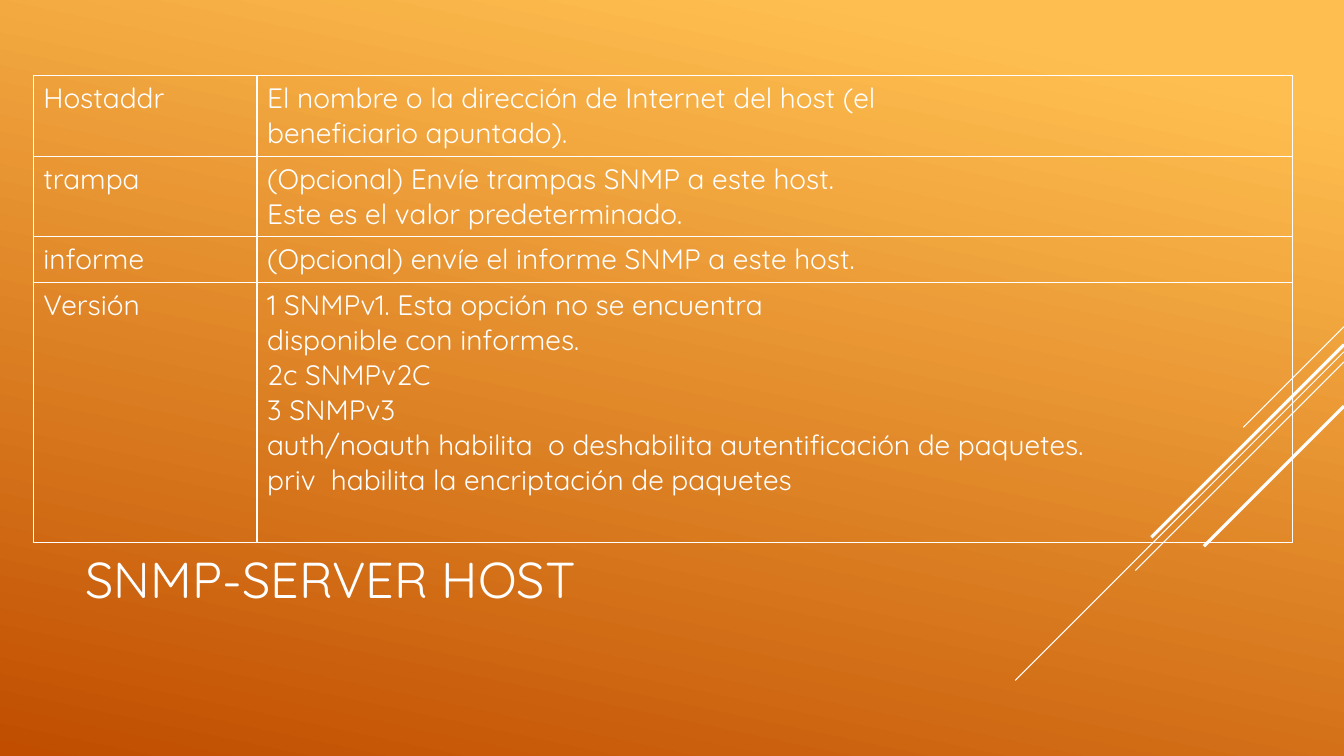
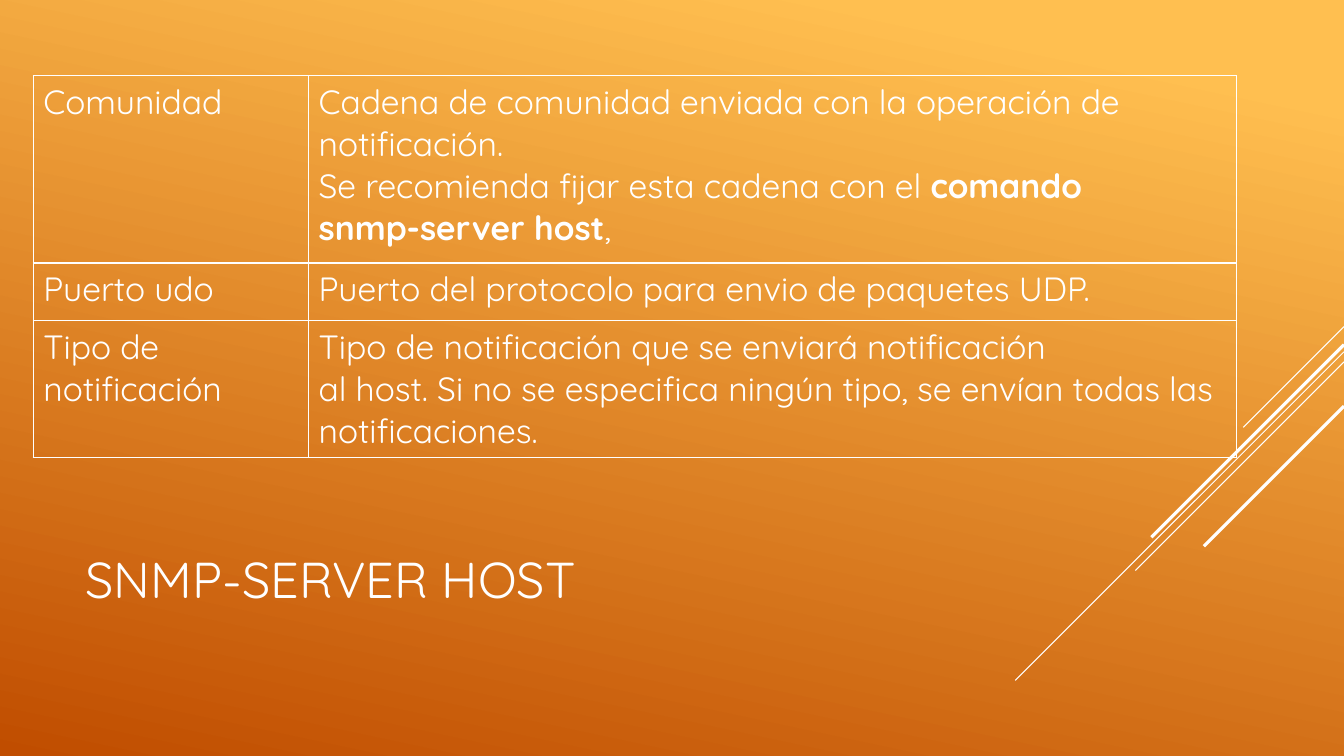
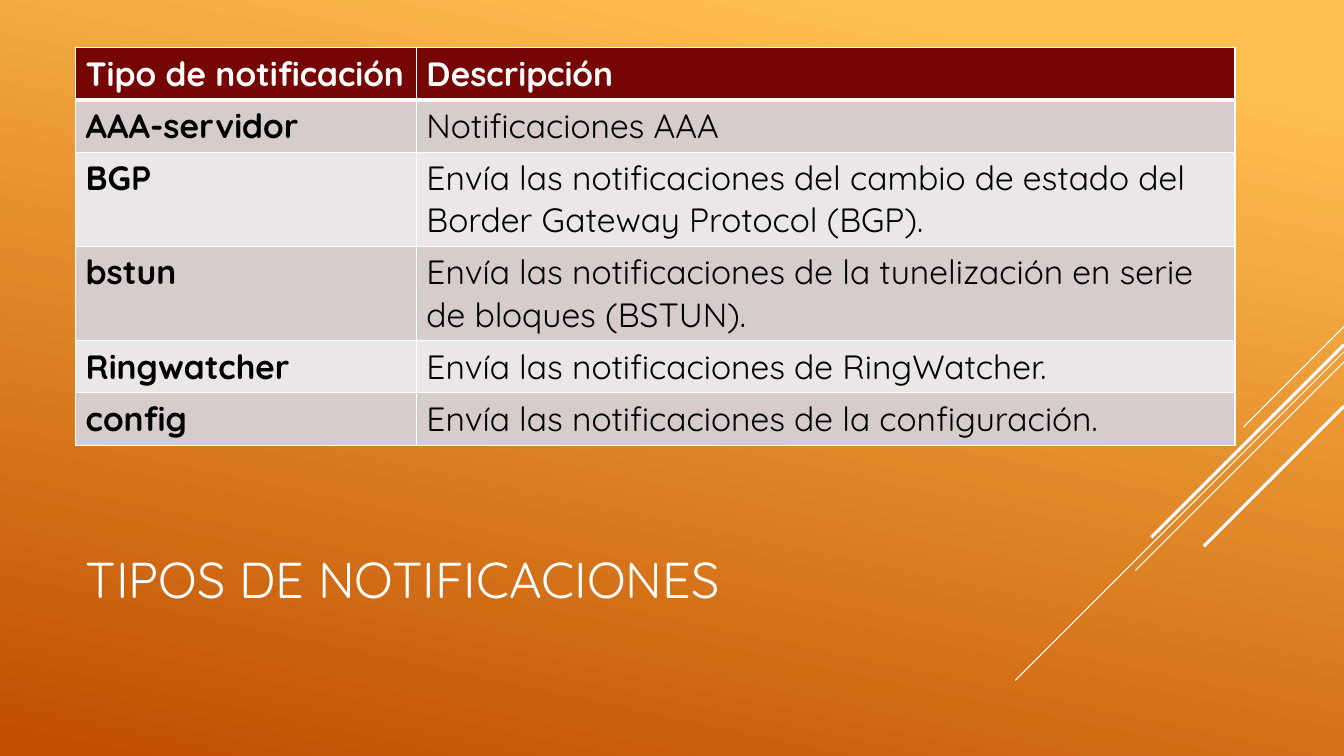
from lxml import etree
from pptx import Presentation
from pptx.dml.color import RGBColor
from pptx.enum import shapes, text
from pptx.oxml import ns
from pptx.util import Inches, Pt

WHITE = RGBColor(0xFF, 0xFF, 0xFF)
BLACK = RGBColor(0x00, 0x00, 0x00)
AMBER = RGBColor(0xFF, 0xBF, 0x50)
RUST = RGBColor(0xC0, 0x4D, 0x00)
MAROON = RGBColor(0x76, 0x06, 0x03)
BANDS = [RGBColor(0xD6, 0xCC, 0xCC), RGBColor(0xEC, 0xE7, 0xE7)]
FONT = "Quicksand"
SLIDE_WIDTH, SLIDE_HEIGHT = 13.33, 7.5
TITLE_BOX = (0.75, 4.91, 9.33, 1.65)
RAYS = [(3.24, 1.0, 0.75), (3.49, 3.26, 0.75), (3.59, 2.07, 0.75),
        (3.42, 1.91, 2.25), (4.03, 1.39, 2.25)]


def add_run(paragraph, words, size, color, bold=False):
    run = paragraph.add_run()
    run.text = words
    run.font.name = FONT
    run.font.size = Pt(size)
    run.font.bold = bold
    run.font.color.rgb = color


def paint_background(master):
    fill = master.background.fill
    fill.gradient()
    fill.gradient_angle = 258
    for stop, position, color in zip(fill.gradient_stops, (0.1, 1), (AMBER, RUST)):
        stop.position = position
        stop.color.rgb = color


def add_rays(slide, right):
    for top, reach, weight in RAYS:
        ray = slide.shapes.add_connector(
            shapes.MSO_CONNECTOR.STRAIGHT, Inches(right), Inches(top),
            Inches(right - reach), Inches(top + reach))
        ray.line.color.rgb = WHITE
        ray.line.width = Pt(weight)
        etree.SubElement(ray.element.spPr, ns.qn("a:effectLst"))


def set_title(slide, words, box):
    title = slide.shapes.title
    title.left, title.top, title.width, title.height = map(Inches, box)
    frame = title.text_frame
    frame.auto_size = text.MSO_AUTO_SIZE.NONE
    frame.vertical_anchor = text.MSO_ANCHOR.MIDDLE
    frame.paragraphs[0].alignment = text.PP_ALIGN.LEFT
    add_run(frame.paragraphs[0], words, 36, WHITE)


def set_borders(cell, top=1, bottom=1):
    properties = cell._tc.get_or_add_tcPr()
    for side, weight in (("L", 1), ("R", 1), ("T", top), ("B", bottom)):
        border = etree.SubElement(properties, ns.qn(f"a:ln{side}"), w=str(Pt(weight)))
        solid = etree.SubElement(border, ns.qn("a:solidFill"))
        etree.SubElement(solid, ns.qn("a:srgbClr"), val=str(WHITE))


def write_cell(cell, content, size, color):
    for index, line in enumerate(content.split("\n")):
        frame = cell.text_frame
        paragraph = frame.add_paragraph() if index else frame.paragraphs[0]
        for part, words in enumerate(line.split("**")):
            if words:
                add_run(paragraph, words, size, color, part % 2 == 1)


def add_grid(slide, origin, widths, heights, rows, size, banded=False):
    left, top = origin
    grid = slide.shapes.add_table(
        len(rows), len(widths), Inches(left), Inches(top),
        Inches(sum(widths)), Inches(sum(heights))).table
    grid.first_row = grid.horz_banding = False
    for column, width in zip(grid.columns, widths):
        column.width = Inches(width)
    for index, (row, height, contents) in enumerate(zip(grid.rows, heights, rows)):
        row.height = Inches(height)
        header = banded and index == 0
        for cell, content in zip(row.cells, contents):
            set_borders(cell, top=3 if banded and index == 1 else 1,
                        bottom=3 if header else 1)
            if banded:
                cell.fill.solid()
                cell.fill.fore_color.rgb = MAROON if header else BANDS[(index - 1) % 2]
            else:
                cell.fill.background()
            write_cell(cell, content, size, BLACK if banded and not header else WHITE)


HOST_TARGET = [
    ("Hostaddr", "El nombre o la dirección de Internet del host (el\n"
                 "beneficiario apuntado)."),
    ("trampa", "(Opcional) Envíe trampas SNMP a este host.\n"
               "Este es el valor predeterminado."),
    ("informe", "(Opcional) envíe el informe SNMP a este host."),
    ("Versión", "1 SNMPv1. Esta opción no se encuentra\n"
                "disponible con informes.\n"
                "2c SNMPv2C\n"
                "3 SNMPv3\n"
                "auth/noauth habilita  o deshabilita autentificación de paquetes.\n"
                "priv  habilita la encriptación de paquetes"),
]
HOST_MESSAGE = [
    ("Comunidad", "Cadena de comunidad enviada con la operación de notificación.\n"
                  "Se recomienda fijar esta cadena con el **comando**\n"
                  "**snmp-server host**,"),
    ("Puerto udo", "Puerto del protocolo para envio de paquetes UDP."),
    ("Tipo de notificación",
     "Tipo de notificación que se enviará notificación\n"
     "al host. Si no se especifica ningún tipo, se envían todas las notificaciones."),
]
NOTIFICATION_TYPES = [
    ("**Tipo de notificación**", "**Descripción**"),
    ("**AAA-servidor**", "Notificaciones AAA"),
    ("**BGP**", "Envía las notificaciones del cambio de estado del "
                "Border Gateway Protocol (BGP)."),
    ("**bstun**", "Envía las notificaciones de la tunelización en serie "
                  "de bloques (BSTUN)."),
    ("**Ringwatcher**", "Envía las notificaciones de RingWatcher."),
    ("**config**", "Envía las notificaciones de la configuración."),
]
SLIDES = [
    ("SNMP-SERVER HOST", dict(
        origin=(0.33, 0.75), widths=(2.22, 10.27),
        heights=(0.8, 0.8, 0.44, 2.58), rows=HOST_TARGET, size=20)),
    ("SNMP-SERVER HOST", dict(
        origin=(0.33, 0.75), widths=(2.73, 9.2),
        heights=(1.86, 0.57, 1.36), rows=HOST_MESSAGE, size=24)),
    ("TIPOS DE NOTIFICACIONES", dict(
        origin=(0.75, 0.47), widths=(3.38, 8.12),
        heights=(0.52, 0.52, 0.93, 0.93, 0.52, 0.52),
        rows=NOTIFICATION_TYPES, size=24, banded=True)),
]

deck = Presentation()
deck.slide_width, deck.slide_height = Inches(SLIDE_WIDTH), Inches(SLIDE_HEIGHT)
paint_background(deck.slide_master)
for heading, grid_parts in SLIDES:
    page = deck.slides.add_slide(deck.slide_layouts[5])
    add_rays(page, SLIDE_WIDTH)
    set_title(page, heading, TITLE_BOX)
    add_grid(page, **grid_parts)
deck.save("out.pptx")
